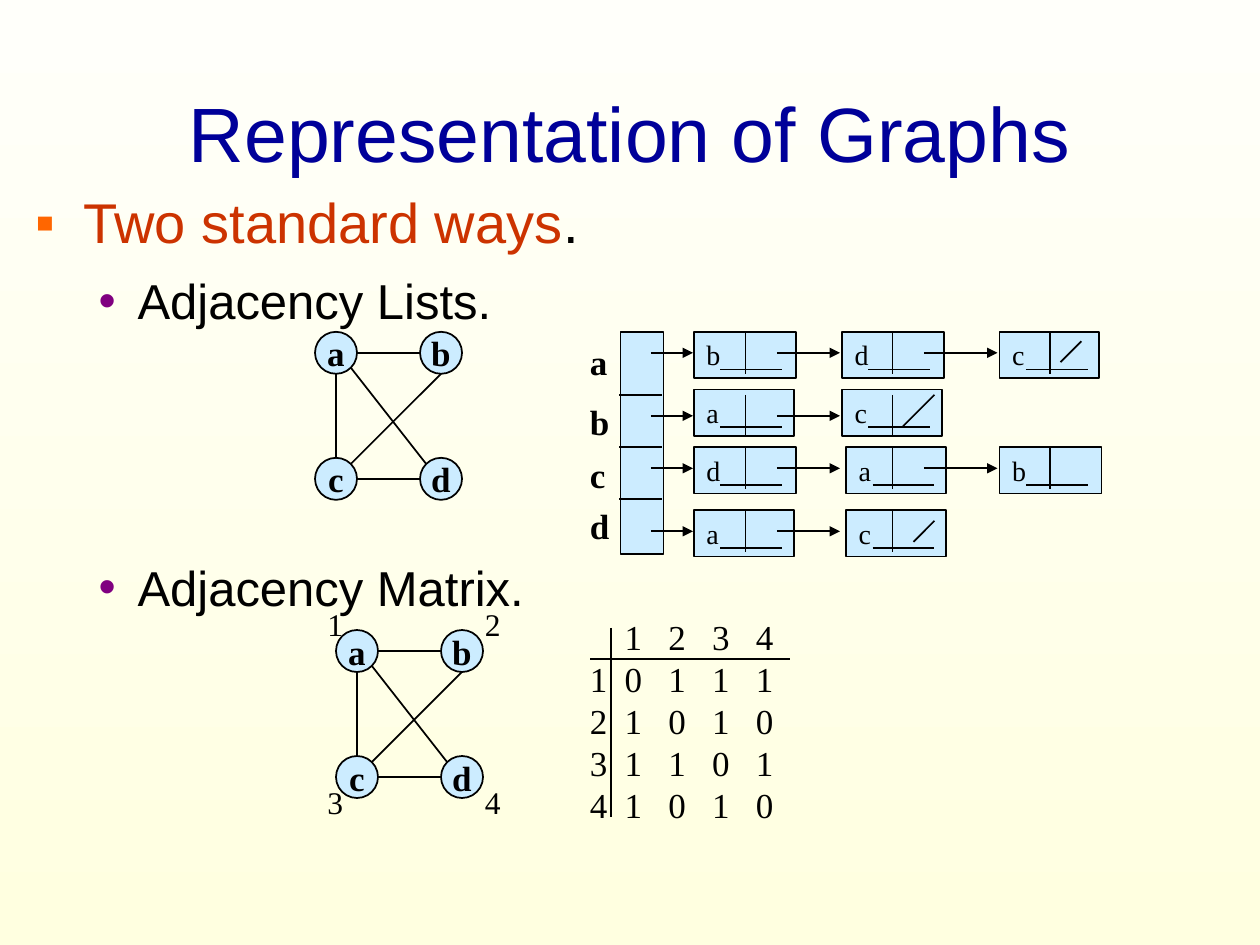
import pptx
import pptx.util
import pptx.dml.color
import pptx.enum.shapes
import pptx.enum.text
import pptx.oxml.ns
from lxml import etree

# Content
TITLE = "Representation of Graphs"
# level, space before, runs of (text, colour)
BODY = [
    (0, 0, [("Two standard ways", "red"), (".", "ink")]),
    (1, 9, [("Adjacency Lists.", "ink")]),
    (1, 130, [("Adjacency Matrix.", "ink")]),
]
NODES = {"a": (0, 0), "b": (1, 0), "c": (0, 1), "d": (1, 1)}
EDGES = [(4, 2, 10, 2), (12, 4, 3.4, 12.6), (2, 4, 2, 12),
         (3.4, 3.4, 10.6, 12.6), (4, 14, 10, 14)]
LISTS = {"a": "bdc", "b": "ac", "c": "dab", "d": "ac"}
MATRIX = [[0, 1, 1, 1], [1, 0, 1, 0], [1, 1, 0, 1], [1, 0, 1, 0]]
COLORS = {"ink": "000000", "title": "000099", "red": "CC3300",
          "node": "CCECFF", "square": "FF6600", "dot": "800080",
          "top": "FFFFFA", "base": "FFFFE0"}
# marker, marker colour, text indent, hanging indent, size
LEVELS = [("▪", "square", 4.56, -4.56, 32), ("•", "dot", 9.72, -3.72, 28)]

# Grid: twelve units to the inch, slide of 120 by 90 units
WIDE, HIGH = 120, 90
GRAPHS = [(30, 31.6), (32, 60)]
ROWS = [31.6, 37.6, 42.6, 48.6]        # list rows
TOPS = [31.6, 37.1, 42.6, 48.6]        # cell tops
TAGS = [31.8, 37.6, 42.6, 47.5]        # row letters
CUTS = [71, 85, 100]                   # cell dividers
ARROWS = [(62, 66), (74, 80), (88, 95)]
ENDS = [(103, 32.5, 101, 34.5), (89, 37.6, 86, 40.6), (89, 49.6, 87, 51.6)]
SANS, SERIF = "Arial", "Times New Roman"

Shape = pptx.enum.shapes.MSO_SHAPE
Align = pptx.enum.text.PP_ALIGN
Anchor = pptx.enum.text.MSO_ANCHOR
qn = pptx.oxml.ns.qn


def unit(n):
    return pptx.util.Inches(n / 12)


def tint(key):
    return pptx.dml.color.RGBColor.from_string(COLORS[key])


def write(para, text, size, font=SERIF, color="ink", bold=False):
    run = para.add_run()
    run.text = text
    run.font.size = pptx.util.Pt(size)
    run.font.name = font
    run.font.bold = bold
    run.font.color.rgb = tint(color)


def frame(x, y, w, h, wrap=False):
    box = slide.shapes.add_textbox(*map(unit, (x, y, w, h)))
    box.text_frame.word_wrap = wrap
    return box.text_frame


def label(text, x, y, w, h, size, bold=False):
    write(frame(x, y, w, h).paragraphs[0], text, size, bold=bold)


def block(kind, x, y, w, h):
    item = slide.shapes.add_shape(kind, *map(unit, (x, y, w, h)))
    item.shadow.inherit = False
    item.fill.solid()
    item.fill.fore_color.rgb = tint("node")
    item.line.color.rgb = tint("ink")
    item.line.width = pptx.util.Pt(1)
    return item.text_frame


def line(x1, y1, x2, y2, arrow=False):
    item = slide.shapes.add_connector(
        pptx.enum.shapes.MSO_CONNECTOR.STRAIGHT, *map(unit, (x1, y1, x2, y2)))
    item.line.color.rgb = tint("ink")
    item.line.width = pptx.util.Pt(1)
    if arrow:
        etree.SubElement(item.line._get_or_add_ln(), qn("a:tailEnd"),
                         type="triangle")
    etree.SubElement(item._element.spPr, qn("a:effectLst"))


def bullet(para, mark, color, left, hang):
    props = para._p.get_or_add_pPr()
    props.set("marL", str(unit(left)))
    props.set("indent", str(unit(hang)))
    paint = etree.SubElement(props, qn("a:buClr"))
    etree.SubElement(paint, qn("a:srgbClr"), val=COLORS[color])
    etree.SubElement(props, qn("a:buFont"), typeface=SANS)
    etree.SubElement(props, qn("a:buChar"), char=mark)


def graph(x, y):
    for name, (col, row) in NODES.items():
        text = block(Shape.OVAL, x + 10 * col, y + 12 * row, 4, 4)
        text.word_wrap = False
        text.vertical_anchor = Anchor.MIDDLE
        text.paragraphs[0].alignment = Align.CENTER
        write(text.paragraphs[0], name, 20, bold=True)
    for x1, y1, x2, y2 in EDGES:
        line(x + x1, y + y1, x + x2, y + y2)


def cell(name, row, col):
    left = [66.1, 80.2 if row < 2 else 80.6, 95.2][col]
    wide = 9.7 if name in "bd" else 9.5
    text = block(Shape.RECTANGLE, left, TOPS[row], wide, 4.4)
    text.word_wrap = True
    text.vertical_anchor = Anchor.TOP
    text.paragraphs[0].alignment = Align.LEFT
    write(text.paragraphs[0], name, 16)
    base = TOPS[row] + 3.6
    line(left + 2.5, base, left + 8.4, base)
    line(CUTS[col], ROWS[row], CUTS[col], ROWS[row] + 4)


# Slide and background
deck = pptx.Presentation()
deck.slide_width, deck.slide_height = unit(WIDE), unit(HIGH)
slide = deck.slides.add_slide(deck.slide_layouts[6])
fill = slide.background.fill
fill.gradient()
fill.gradient_angle = 270
for stop, key in zip(fill.gradient_stops, ("top", "base")):
    stop.color.rgb = tint(key)

# Title and outline
head = frame(4, 5, 112, 15, True)
head.vertical_anchor = Anchor.MIDDLE
head.paragraphs[0].alignment = Align.CENTER
write(head.paragraphs[0], TITLE, 44, SANS, "title")

body = frame(2.2, 16.8, 112, 56, True)
body.margin_top = unit(1.1)
for i, (level, gap, runs) in enumerate(BODY):
    para = body.add_paragraph() if i else body.paragraphs[0]
    para.level = level
    para.space_before = pptx.util.Pt(gap)
    *marks, size = LEVELS[level]
    bullet(para, *marks)
    for text, color in runs:
        write(para, text, size, SANS, color)

# Graphs
for spot in GRAPHS:
    graph(*spot)
for i in range(4):
    label(str(i + 1), 30 + 15 * (i % 2), 57 + 17 * (i // 2), 3.8, 4.8, 18)

# Adjacency lists
block(Shape.RECTANGLE, 59.1, ROWS[0], 4.1, 21.2)
for y in TAGS[1:]:
    line(59, y, 63, y)
for row, (name, items) in enumerate(LISTS.items()):
    label(name, 55, TAGS[row], 4.2, 5.3, 20, True)
    for col, item in enumerate(items):
        cell(item, row, col)
    for x1, x2 in ARROWS[:len(items)]:
        line(x1, ROWS[row] + 2, x2, ROWS[row] + 2, True)
for mark in ENDS:
    line(*mark)

# Adjacency matrix
grid = frame(55, 58, 20, 21.2, True)
table = [["", 1, 2, 3, 4]] + [[i, *row] for i, row in enumerate(MATRIX, 1)]
for i, row in enumerate(table):
    para = grid.add_paragraph() if i else grid.paragraphs[0]
    tabs = etree.SubElement(para._p.get_or_add_pPr(), qn("a:tabLst"))
    for col in range(4):
        etree.SubElement(tabs, qn("a:tab"), pos=str(unit(3.3 + 4.17 * col)),
                         algn="l")
    write(para, "\t".join(map(str, row)), 20)
line(56.2, 62.8, 75.2, 62.8)
line(58.2, 59.8, 58.2, 77.8)

deck.save("out.pptx")
